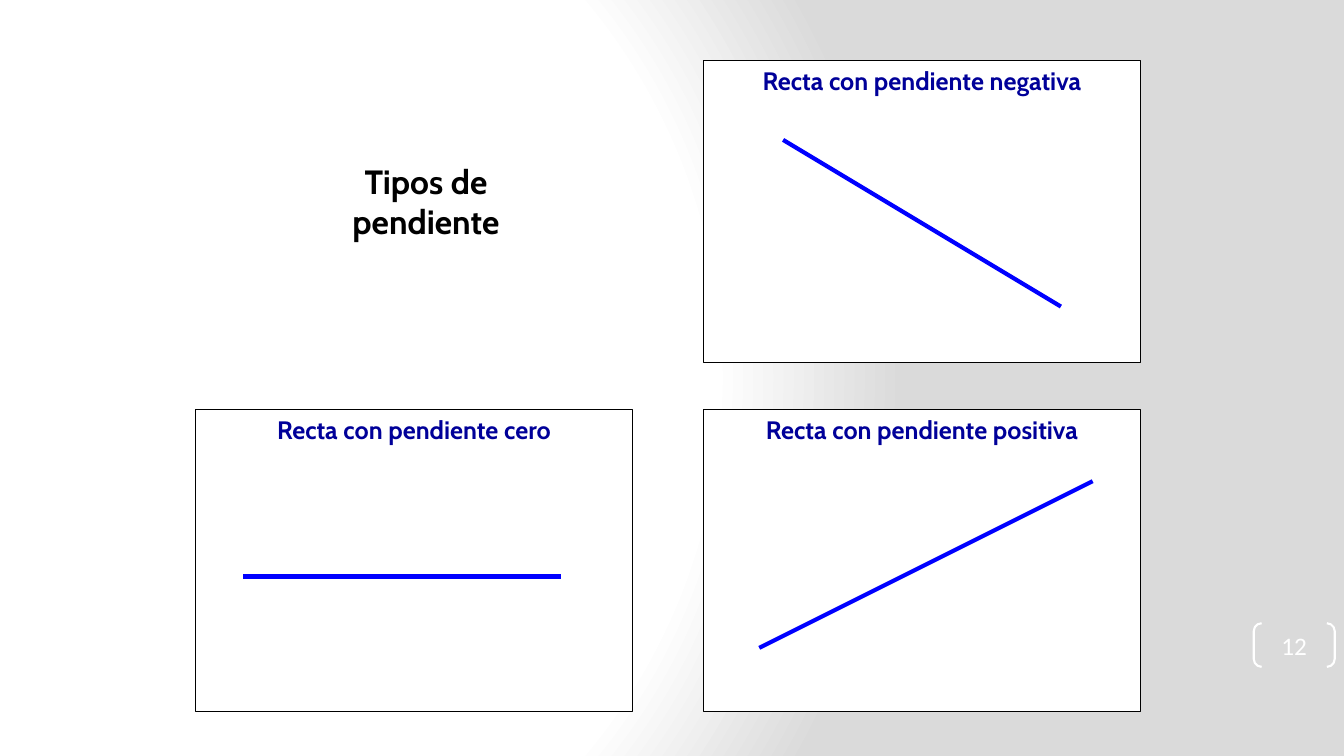
from typing import Any, NamedTuple

from lxml.etree import SubElement
from pptx import Presentation
from pptx.dml.color import RGBColor
from pptx.enum.shapes import MSO_CONNECTOR, MSO_SHAPE
from pptx.enum.text import MSO_ANCHOR, PP_ALIGN
from pptx.oxml import parse_xml
from pptx.oxml.ns import qn
from pptx.util import Inches, Mm, Pt

WIDE, HIGH = Inches(13.333), Inches(7.5)
CELL = Mm(2)
# The panels fill a block of 120 by 80 cells centred on the slide.
COLS, ROWS = 55, 38
STEP_X, STEP_Y = 64, 44
LEFT = (WIDE - 120 * CELL) // 2
TOP = (HIGH - 80 * CELL) // 2

HUES = {"white": "FFFFFF", "grey": "DADADA", "black": "000000",
        "navy": "000099", "blue": "0000FF"}
FONTS = {
    "head": {"name": "Cabin", "size": Pt(24), "bold": True},
    "label": {"name": "Cabin", "size": Pt(18), "bold": True},
    "page": {"name": "Calibri", "size": Pt(18), "bold": False},
}
NO_INSET = {"margin_left": 0, "margin_right": 0,
            "margin_top": 0, "margin_bottom": 0}


class Spot(NamedTuple):
    x: float
    y: float


class Panel(NamedTuple):
    col: int
    row: int
    label: str
    start: Spot
    end: Spot


PANELS = [
    Panel(1, 0, "Recta con pendiente negativa", Spot(10, 10), Spot(45, 31)),
    Panel(0, 1, "Recta con pendiente cero", Spot(6, 21), Spot(46, 21)),
    Panel(1, 1, "Recta con pendiente positiva", Spot(7, 30), Spot(49, 9)),
]


def apply(target: Any, values: dict[str, Any]) -> None:
    for key, value in values.items():
        setattr(target, key, value)


def hue(name: str) -> RGBColor:
    return RGBColor.from_string(HUES[name])


def place(x: float, y: float) -> tuple[int, int]:
    """Turn grid cells into slide lengths."""
    return LEFT + round(x * CELL), TOP + round(y * CELL)


def span(cols: float, rows: float) -> tuple[int, int]:
    return round(cols * CELL), round(rows * CELL)


def stroke(line: Any, color: str, width: float) -> None:
    line.color.rgb = hue(color)
    line.width = Pt(width)


def write(shape: Any, text: str, font: str, color: str,
          frame: dict[str, Any]) -> None:
    apply(shape.text_frame, frame)
    para = shape.text_frame.paragraphs[0]
    para.alignment = PP_ALIGN.CENTER
    run = para.add_run()
    run.text = text
    apply(run.font, FONTS[font])
    run.font.color.rgb = hue(color)


def paint_back(slide: Any) -> None:
    slide.background.fill.gradient()
    old = slide.element.find(".//" + qn("a:gradFill"))
    stops = "".join(
        f'<a:gs pos="{pos * 1000}"><a:srgbClr val="{HUES[name]}"/></a:gs>'
        for pos, name in [(0, "white"), (75, "white"), (100, "grey")])
    old.getparent().replace(old, parse_xml(
        '<a:gradFill rotWithShape="1" '
        'xmlns:a="http://schemas.openxmlformats.org/drawingml/2006/main">'
        f'<a:gsLst>{stops}</a:gsLst><a:path path="circle">'
        '<a:fillToRect l="20000" t="50000" r="100000" b="50000"/>'
        '</a:path></a:gradFill>'))


def draw_panel(slide: Any, panel: Panel) -> None:
    x, y = panel.col * STEP_X, panel.row * STEP_Y
    box = slide.shapes.add_shape(
        MSO_SHAPE.RECTANGLE, *place(x, y), *span(COLS, ROWS))
    box.shadow.inherit = False
    box.fill.solid()
    box.fill.fore_color.rgb = hue("white")
    stroke(box.line, "black", 0.75)
    write(box, panel.label, "label", "navy",
          {"word_wrap": False, "vertical_anchor": MSO_ANCHOR.TOP})
    slope = slide.shapes.add_connector(
        MSO_CONNECTOR.STRAIGHT,
        *place(x + panel.start.x, y + panel.start.y),
        *place(x + panel.end.x, y + panel.end.y))
    stroke(slope.line, "blue", 3)
    SubElement(slope.element.spPr, qn("a:effectLst"))


def draw_head(slide: Any) -> None:
    head = slide.shapes.add_textbox(*place(14, 12), *span(30, 11.6))
    write(head, "Tipos de pendiente", "head", "black", {"word_wrap": True})


def draw_page(slide: Any) -> None:
    """Add the slide number in its brackets."""
    page = slide.shapes.add_shape(
        MSO_SHAPE.DOUBLE_BRACKET, *place(133.3, 70.9), *span(10.2, 5.5))
    page.adjustments[0] = 0.18
    page.shadow.inherit = False
    page.fill.background()
    stroke(page.line, "white", 1.5)
    write(page, "12", "page", "white",
          {**NO_INSET, "vertical_anchor": MSO_ANCHOR.MIDDLE})


def main() -> None:
    deck = Presentation()
    apply(deck, {"slide_width": WIDE, "slide_height": HIGH})
    slide = deck.slides.add_slide(deck.slide_layouts[6])
    paint_back(slide)
    for panel in PANELS:
        draw_panel(slide, panel)
    draw_head(slide)
    draw_page(slide)
    deck.save("out.pptx")


if __name__ == "__main__":
    main()
